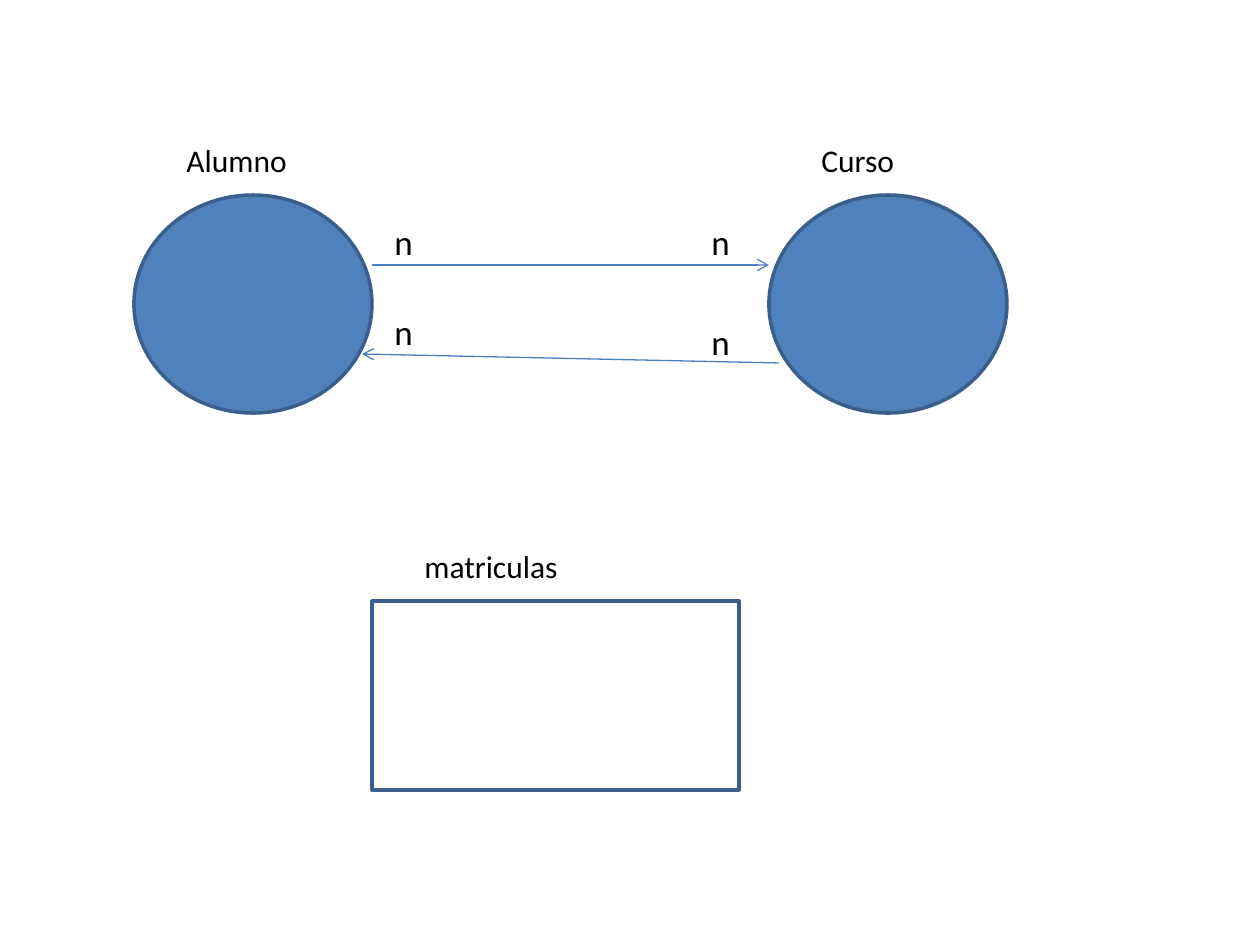
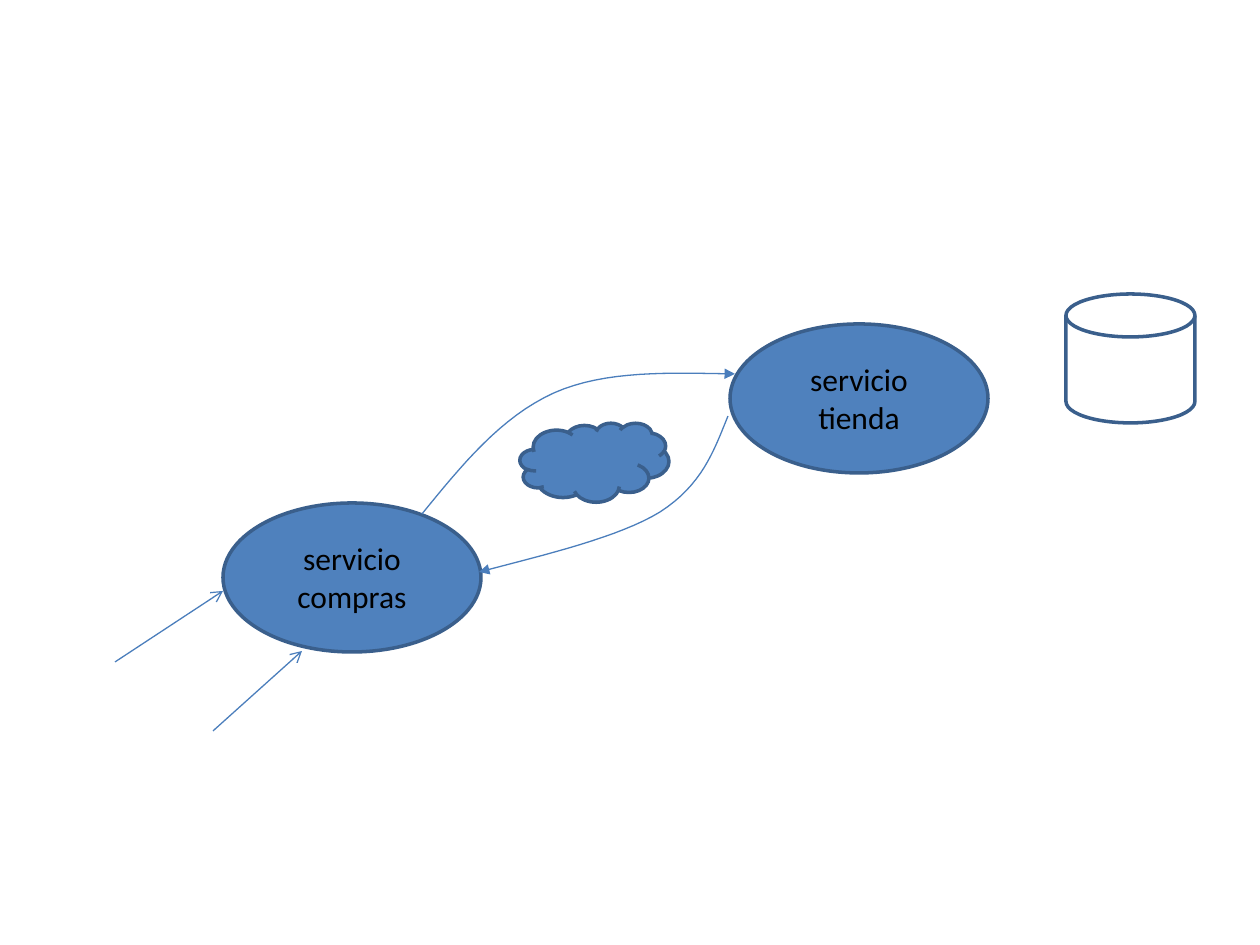
"""Build two diagrams: students and courses, and a pair of services."""
import lxml.etree
import pptx
import pptx.dml.color
import pptx.enum.shapes
import pptx.enum.text
import pptx.oxml.ns
import pptx.util

PX = 914400 // 126
BLUE, EDGE, WIRE, BLACK = "4F81BD", "3A5F8C", "4B7EBC", "000000"
KIND = pptx.enum.shapes.MSO_SHAPE
LEFT = pptx.enum.text.PP_ALIGN.LEFT
MID = pptx.enum.text.PP_ALIGN.CENTER
color = pptx.dml.color.RGBColor.from_string


def style(item, edge, width, fill=None, tip=None):
    """Set line, fill and arrow tip, and take the shadow off."""
    item.line.color.rgb = color(edge)
    item.line.width = pptx.util.Pt(width)
    if fill:
        item.fill.solid()
        item.fill.fore_color.rgb = color(fill)
    elif hasattr(item, "fill"):
        item.fill.background()
    name = pptx.oxml.ns.qn
    if tip:
        line = item.line._get_or_add_ln()
        lxml.etree.SubElement(line, name("a:tailEnd"), type=tip)
    props = item._element.spPr
    lxml.etree.SubElement(props, name("a:effectLst"))


def label(slide, text, box, size=18, align=LEFT):
    """Add a text box at a place given in px."""
    frame = slide.shapes.add_textbox(*[n * PX for n in box]).text_frame
    frame.word_wrap = True
    frame.text = text
    para = frame.paragraphs[0]
    para.alignment = align
    font = para.runs[0].font
    font.name = "Calibri"
    font.size = pptx.util.Pt(size)
    font.color.rgb = color(BLACK)


deck = pptx.Presentation()
deck.slide_width, deck.slide_height = 1260 * PX, 945 * PX
blank = deck.slide_layouts[6]
class_map = deck.slides.add_slide(blank)
shop_map = deck.slides.add_slide(blank)

nodes = [
    (class_map, KIND.OVAL, (134, 195, 238, 218), BLUE),
    (class_map, KIND.OVAL, (769, 195, 238, 218), BLUE),
    (class_map, KIND.RECTANGLE, (372, 601, 367, 189), None),
    (shop_map, KIND.OVAL, (730, 324, 258, 149), BLUE),
    (shop_map, KIND.OVAL, (223, 503, 258, 149), BLUE),
    (shop_map, KIND.FLOWCHART_MAGNETIC_DISK, (1066, 294, 129, 129), None),
    (shop_map, KIND.CLOUD, (520, 423, 149, 79), BLUE),
]
for slide, kind, box, fill in nodes:
    node = slide.shapes.add_shape(kind, *[n * PX for n in box])
    style(node, EDGE, 2, fill)

for text, (x, y, w, h) in zip(["Alumno", "Curso", "matriculas"], [row[2] for row in nodes[:3]]):
    label(class_map, text, (x + 40, y - 60, 270, 50))
for text, (x, y, w, h) in zip(["servicio tienda", "servicio compras"], [row[2] for row in nodes[3:5]]):
    label(shop_map, text, (x + 50, y + 30, w - 100, h - 60), align=MID)
for x, y in [(382, 214), (699, 214), (382, 304), (699, 314)]:
    label(class_map, "n", (x, y, 149, 55), 20)

arrows = [
    (class_map, (372, 265, 769, 265)),
    (class_map, (779, 363, 362, 354)),
    (shop_map, (115, 662, 223, 591)),
    (shop_map, (213, 731, 302, 651)),
]
for slide, ends in arrows:
    straight = pptx.enum.shapes.MSO_CONNECTOR.STRAIGHT
    arrow = slide.shapes.add_connector(straight, *[n * PX for n in ends])
    style(arrow, WIRE, 0.75, tip="arrow")

curves = [
    [(422, 514), (462, 465), (501, 417), (554, 393), (606, 370), (670, 373), (735, 374)],
    [(728, 416), (714, 451), (702, 485), (660, 512), (619, 537), (548, 554), (479, 572)],
]
STEPS = 16
for curve in curves:
    dots = []
    for i in (0, 3):
        for step in range(1, STEPS + 1):
            t = step / STEPS
            parts = [(1 - t) ** 3, 3 * t * (1 - t) ** 2, 3 * t * t * (1 - t), t ** 3]
            dots.append([
                round(PX * sum(p * spot[axis] for p, spot in zip(parts, curve[i:i + 4])))
                for axis in (0, 1)
            ])
    x, y = curve[0]
    path = shop_map.shapes.build_freeform(x * PX, y * PX)
    path.add_line_segments(dots, close=False)
    style(path.convert_to_shape(), WIRE, 0.75, tip="triangle")

deck.save("out.pptx")
